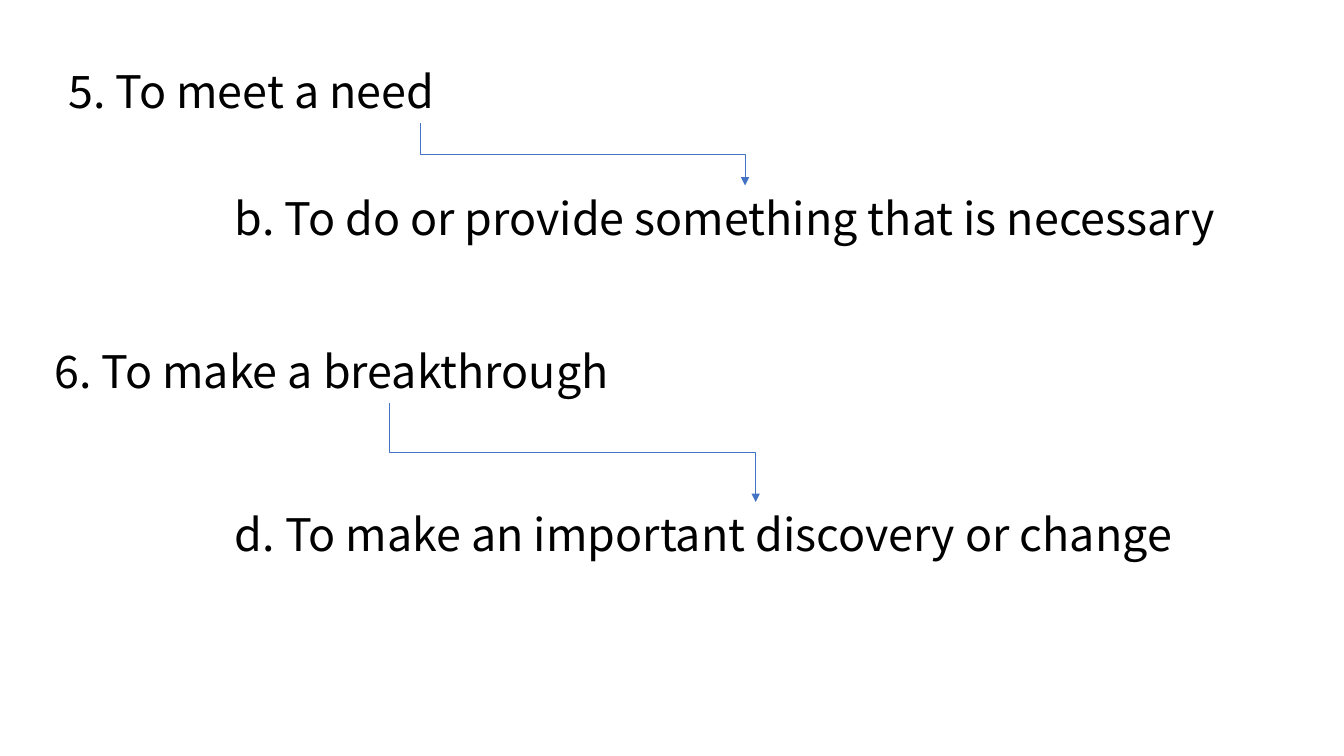
from lxml.etree import SubElement
from pptx import Presentation
from pptx.dml.color import RGBColor
from pptx.enum.shapes import MSO_CONNECTOR
from pptx.enum.text import MSO_AUTO_SIZE
from pptx.oxml.ns import qn
from pptx.util import Inches, Pt

FONT = "Noto Sans CJK KR"
INK, ARROW = "000000", "4472C4"

deck = Presentation()
deck.slide_width, deck.slide_height = Inches(13.33), Inches(7.5)
# The grid has 100 columns and 100 rows.
COLUMN, ROW = deck.slide_width / 100, deck.slide_height / 100
LINE_ROWS = 8.53


def colour(hex_code):
    """Turn a hex string into a colour."""
    return RGBColor.from_string(hex_code)


def add_line_of_text(slide, words, left, top, width):
    """Write one line of text; lengths are in columns and rows."""
    line = slide.shapes.add_textbox(
        int(left * COLUMN), int(top * ROW), int(width * COLUMN), int(LINE_ROWS * ROW))
    frame = line.text_frame
    frame.word_wrap = True
    frame.auto_size = MSO_AUTO_SIZE.SHAPE_TO_FIT_TEXT
    paragraph = frame.paragraphs[0]
    paragraph.text = words
    font = paragraph.font
    font.name, font.size, font.color.rgb = FONT, Pt(32), colour(INK)
    return line


def add_down_arrow(slide, upper, lower):
    """Join the bottom centre of one box to the top centre of a lower box."""
    start_x, end_x = (box.left + box.width // 2 for box in (upper, lower))
    start_y, end_y = upper.top + upper.height, lower.top
    middle_x, middle_y = (start_x + end_x) // 2, (start_y + end_y) // 2
    half_run, half_drop = (end_x - start_x) // 2, (end_y - start_y) // 2
    # An elbow starts sideways, so its frame is laid out turned by a quarter.
    arrow = slide.shapes.add_connector(
        MSO_CONNECTOR.ELBOW, middle_x - half_drop, middle_y - half_run,
        middle_x + half_drop, middle_y + half_run)
    arrow.line.color.rgb = colour(ARROW)
    arrow.line.width = Pt(0.5)
    properties = arrow._element.spPr
    turn = properties.find(qn("a:xfrm"))
    turn.set("rot", str(270 * 60000))
    turn.set("flipH", "1")
    SubElement(properties.find(qn("a:ln")), qn("a:tailEnd"), type="triangle")
    SubElement(properties, qn("a:effectLst"))


def add_match(slide, box, phrase, phrase_width, definition, definition_width):
    """Place a phrase at the box's top left and its meaning at the bottom right."""
    left, top, width, height = box
    upper = add_line_of_text(slide, phrase, left, top, phrase_width)
    lower = add_line_of_text(
        slide, definition, left + width - definition_width,
        top + height - LINE_ROWS, definition_width)
    add_down_arrow(slide, upper, lower)


def add_matches_slide():
    """Build the slide of phrases matched with their meanings."""
    slide = deck.slides.add_slide(deck.slide_layouts[6])
    add_match(slide, (4.35, 7.73, 89.8, 25.33), "5. To meet a need", 53.79,
              "b. To do or provide something that is necessary", 77.42)
    add_match(slide, (3.3, 44.8, 92.42, 30.13), "6. To make a breakthrough", 51.31,
              "d. To make an important discovery or change", 78.99)


add_matches_slide()
deck.save("out.pptx")
